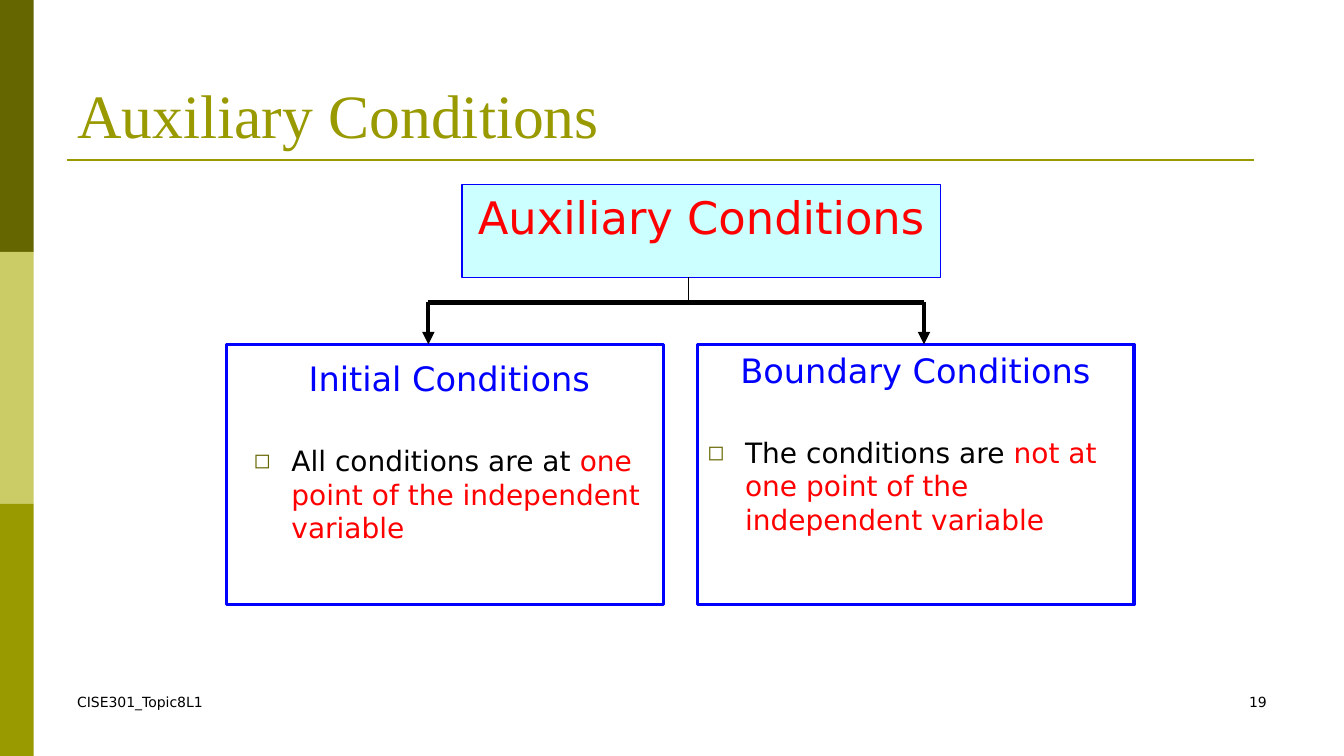
from lxml import etree
from pptx import Presentation
from pptx.dml.color import RGBColor
from pptx.enum.shapes import MSO_CONNECTOR, MSO_SHAPE
from pptx.enum.text import MSO_ANCHOR as ANCHOR, MSO_AUTO_SIZE, PP_ALIGN as ALIGN
from pptx.oxml.ns import qn
from pptx.util import Pt

BLACK = RGBColor(0x00, 0x00, 0x00)
RED = RGBColor(0xFF, 0x00, 0x00)
BLUE = RGBColor(0x00, 0x00, 0xFF)
CYAN = RGBColor(0xCC, 0xFF, 0xFF)
DARK_OLIVE = RGBColor(0x66, 0x66, 0x00)
LIGHT_OLIVE = RGBColor(0xCC, 0xCC, 0x66)
OLIVE = RGBColor(0x99, 0x99, 0x00)
SANS = "DejaVu Sans"
SERIF = "Times New Roman"


def place(sp, left, top, width, height):
    sp.left, sp.top, sp.width, sp.height = Pt(left), Pt(top), Pt(width), Pt(height)


def format_run(r, size, color, name=SANS):
    r.font.size = Pt(size)
    r.font.name = name
    r.font.color.rgb = color


def set_text(sp, text, size, color, align=ALIGN.LEFT, name=SANS, anchor=ANCHOR.TOP):
    tf = sp.text_frame
    tf.text = text
    tf.word_wrap = True
    tf.auto_size = MSO_AUTO_SIZE.NONE
    tf.vertical_anchor = anchor
    p = tf.paragraphs[0]
    p.alignment = align
    p.space_before = Pt(0)
    format_run(p.runs[0], size, color, name)


def set_bullet(p, char=None, indent=0):
    pPr = p._p.get_or_add_pPr()
    pPr.set("marL", str(Pt(indent)))
    pPr.set("indent", str(-Pt(indent)))
    if char is None:
        etree.SubElement(pPr, qn("a:buNone"))
        return
    clr = etree.SubElement(pPr, qn("a:buClr"))
    etree.SubElement(clr, qn("a:srgbClr"), val=str(DARK_OLIVE))
    etree.SubElement(pPr, qn("a:buSzPct"), val="75000")
    etree.SubElement(pPr, qn("a:buFont"), typeface=SANS)
    etree.SubElement(pPr, qn("a:buChar"), char=char)


def add_rect(slide, left, top, width, height, fill=None, line=None, weight=0.75):
    sp = slide.shapes.add_shape(MSO_SHAPE.RECTANGLE, Pt(left), Pt(top), Pt(width), Pt(height))
    sp.shadow.inherit = False
    if fill is None:
        sp.fill.background()
    else:
        sp.fill.solid()
        sp.fill.fore_color.rgb = fill
    if line is None:
        sp.line.fill.background()
    else:
        sp.line.color.rgb = line
        sp.line.width = Pt(weight)
    return sp


def add_line(slide, x1, y1, x2, y2, color, weight, arrow=False):
    cxn = slide.shapes.add_connector(MSO_CONNECTOR.STRAIGHT, Pt(x1), Pt(y1), Pt(x2), Pt(y2))
    cxn.line.color.rgb = color
    cxn.line.width = Pt(weight)
    if arrow:
        etree.SubElement(cxn.line._get_or_add_ln(), qn("a:tailEnd"), type="triangle")
    etree.SubElement(cxn._element.spPr, qn("a:effectLst"))


def add_footer(slide, left, text, align):
    sp = slide.shapes.add_textbox(Pt(left), Pt(492), Pt(224), Pt(36))
    set_text(sp, text, 10, BLACK, align)


def fill_body(sp, bounds, heading, lead, emphasis):
    place(sp, *bounds)
    set_text(sp, heading, 24, BLUE, ALIGN.CENTER)
    tf = sp.text_frame
    set_bullet(tf.paragraphs[0])
    p = tf.add_paragraph()
    set_bullet(p, "◻", 27)
    p.space_before = Pt(32.5)
    for text, color in ((lead, BLACK), (emphasis, RED)):
        r = p.add_run()
        r.text = text
        format_run(r, 20, color)


def main():
    prs = Presentation()
    prs.slide_width, prs.slide_height = Pt(960), Pt(540)
    slide = prs.slides.add_slide(prs.slide_layouts[3])
    title, initial, boundary = slide.placeholders

    for i, color in enumerate((DARK_OLIVE, LIGHT_OLIVE, OLIVE)):
        add_rect(slide, 0, 180 * i, 24, 180, color)
    add_line(slide, 48, 114, 896, 114, OLIVE, 1.5)

    place(title, 48, 21.6, 864, 90)
    set_text(title, "Auxiliary Conditions", 44, OLIVE, name=SERIF, anchor=ANCHOR.BOTTOM)

    fill_body(initial, (174, 252, 294, 168), "Initial Conditions",
              "All conditions are at ", "one point of the independent variable")
    fill_body(boundary, (498, 246, 312, 180), "Boundary Conditions",
              "The conditions are ", "not at one point of the independent variable")
    for left in (162, 498):
        add_rect(slide, left, 246, 312, 186, line=BLUE, weight=2.25)

    root = add_rect(slide, 330, 132, 342, 66, CYAN, BLUE)
    set_text(root, "Auxiliary Conditions", 32, RED, ALIGN.CENTER)

    add_line(slide, 492, 198, 492, 216, BLACK, 0.75)
    add_line(slide, 306, 216, 660, 216, BLACK, 3)
    for x in (306, 660):
        add_line(slide, x, 216, x, 246, BLACK, 3, arrow=True)

    add_footer(slide, 48, "CISE301_Topic8L1", ALIGN.LEFT)
    add_footer(slide, 688, "19", ALIGN.RIGHT)
    prs.save("out.pptx")


if __name__ == "__main__":
    main()
